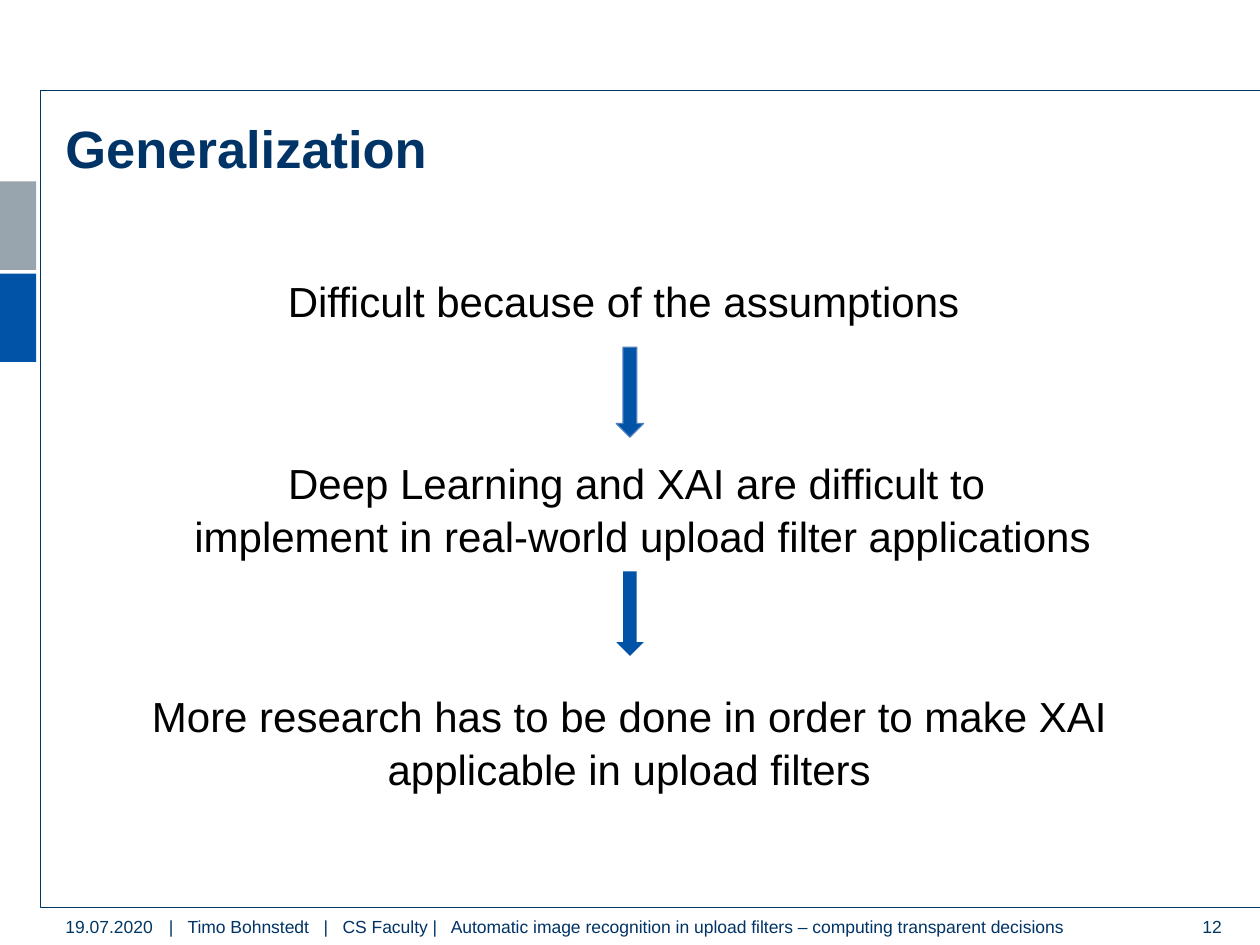
from dataclasses import dataclass

from pptx import Presentation
from pptx.dml.color import RGBColor
from pptx.enum.shapes import MSO_SHAPE
from pptx.enum.text import MSO_ANCHOR, PP_ALIGN
from pptx.util import Pt


@dataclass(frozen=True)
class Theme:
    font: str = "Arial"
    navy: str = "003366"
    frame: str = "003865"
    blue: str = "0053A7"
    gray: str = "98A4AE"
    arrow_edge: str = "4B7EBC"
    black: str = "000000"
    title_size: float = 30
    body_size: float = 24
    footer_size: float = 10
    title_spacing: float = 1.12
    text_spacing: float = 1.05


class SlideBuilder:
    """Holds the theme and the current slide; lengths are in points."""

    def __init__(self, slide, theme):
        self.slide = slide
        self.theme = theme

    def set_text(self, frame, text, size, color, align=PP_ALIGN.LEFT,
                 bold=False, spacing=1.0):
        frame.text = text
        for paragraph in frame.paragraphs:
            paragraph.alignment = align
            paragraph.line_spacing = spacing
            for run in paragraph.runs:
                run.font.name = self.theme.font
                run.font.size = Pt(size)
                run.font.bold = bold
                run.font.color.rgb = RGBColor.from_string(color)

    def clear_margins(self, frame):
        frame.margin_left = frame.margin_top = Pt(0)
        frame.margin_right = frame.margin_bottom = Pt(0)

    def title(self, text, left, top, width, height):
        title = self.slide.shapes.title
        title.left, title.top = Pt(left), Pt(top)
        title.width, title.height = Pt(width), Pt(height)
        frame = title.text_frame
        self.clear_margins(frame)
        frame.vertical_anchor = MSO_ANCHOR.TOP
        self.set_text(frame, text, self.theme.title_size, self.theme.navy,
                      bold=True, spacing=self.theme.title_spacing)

    def statement(self, text, left, top, width, height, wrap=False):
        box = self.slide.shapes.add_textbox(Pt(left), Pt(top), Pt(width), Pt(height))
        box.text_frame.word_wrap = wrap
        self.set_text(box.text_frame, text, self.theme.body_size, self.theme.black,
                      PP_ALIGN.CENTER, spacing=self.theme.text_spacing)

    def footer(self, text, left, width, color, align=PP_ALIGN.LEFT):
        box = self.slide.shapes.add_textbox(Pt(left), Pt(522), Pt(width), Pt(15))
        frame = box.text_frame
        frame.word_wrap = True
        frame.vertical_anchor = MSO_ANCHOR.MIDDLE
        self.clear_margins(frame)
        self.set_text(frame, text, self.theme.footer_size, color, align)

    def block(self, kind, left, top, width, height, fill, edge=None):
        shape = self.slide.shapes.add_shape(kind, Pt(left), Pt(top), Pt(width), Pt(height))
        shape.shadow.inherit = False
        shape.fill.solid()
        shape.fill.fore_color.rgb = RGBColor.from_string(fill)
        if edge:
            shape.line.color.rgb = RGBColor.from_string(edge)
            shape.line.width = Pt(0.75)
        else:
            shape.line.fill.background()

    def outline(self, points, color):
        start, *rest = [(Pt(x), Pt(y)) for x, y in points]
        builder = self.slide.shapes.build_freeform(*start)
        builder.add_line_segments(rest, close=False)
        shape = builder.convert_to_shape()
        shape.shadow.inherit = False
        shape.fill.background()
        shape.line.color.rgb = RGBColor.from_string(color)
        shape.line.width = Pt(0.75)


def main():
    presentation = Presentation()
    presentation.slide_width, presentation.slide_height = Pt(720), Pt(540)
    theme = Theme()
    title_only = presentation.slide_layouts[5]
    page = SlideBuilder(presentation.slides.add_slide(title_only), theme)

    # Side tabs and frame, open on the right
    for top, color in ((156.4, theme.blue), (103.7, theme.gray)):
        page.block(MSO_SHAPE.RECTANGLE, 0, top, 20.7, 50.5, color)
    page.outline([(720, 51.8), (23.2, 51.8), (23.2, 518.4), (720, 518.4)], theme.frame)

    # Footer: date, talk details, page number
    page.footer("19.07.2020", 37.4, 57, theme.frame)
    page.footer("|   Timo Bohnstedt   |   CS Faculty |   Automatic image recognition "
                "in upload filters – computing transparent decisions",
                96.5, 532, theme.navy)
    page.footer("12", 651.6, 46.6, theme.frame, PP_ALIGN.RIGHT)

    # Title
    page.title("Generalization", 37.4, 62, 641, 28)

    # Chain of statements
    page.statement("Difficult because of the assumptions ", 152, 152.6, 415.4, 36)
    page.statement("Deep Learning and XAI are difficult to \n"
                   "implement in real-world upload filter applications",
                   100.8, 256.3, 532.8, 65.5)
    page.statement("More research has to be done in order to make XAI "
                   "applicable in upload filters", 26.6, 389.5, 666, 65.5, wrap=True)

    # Arrows between the statements
    for top, height, edge in ((198.5, 51.3, theme.arrow_edge), (326.5, 48.3, None)):
        page.block(MSO_SHAPE.DOWN_ARROW, 352.2, top, 15.6, height, theme.blue, edge)

    presentation.save("out.pptx")


if __name__ == "__main__":
    main()
